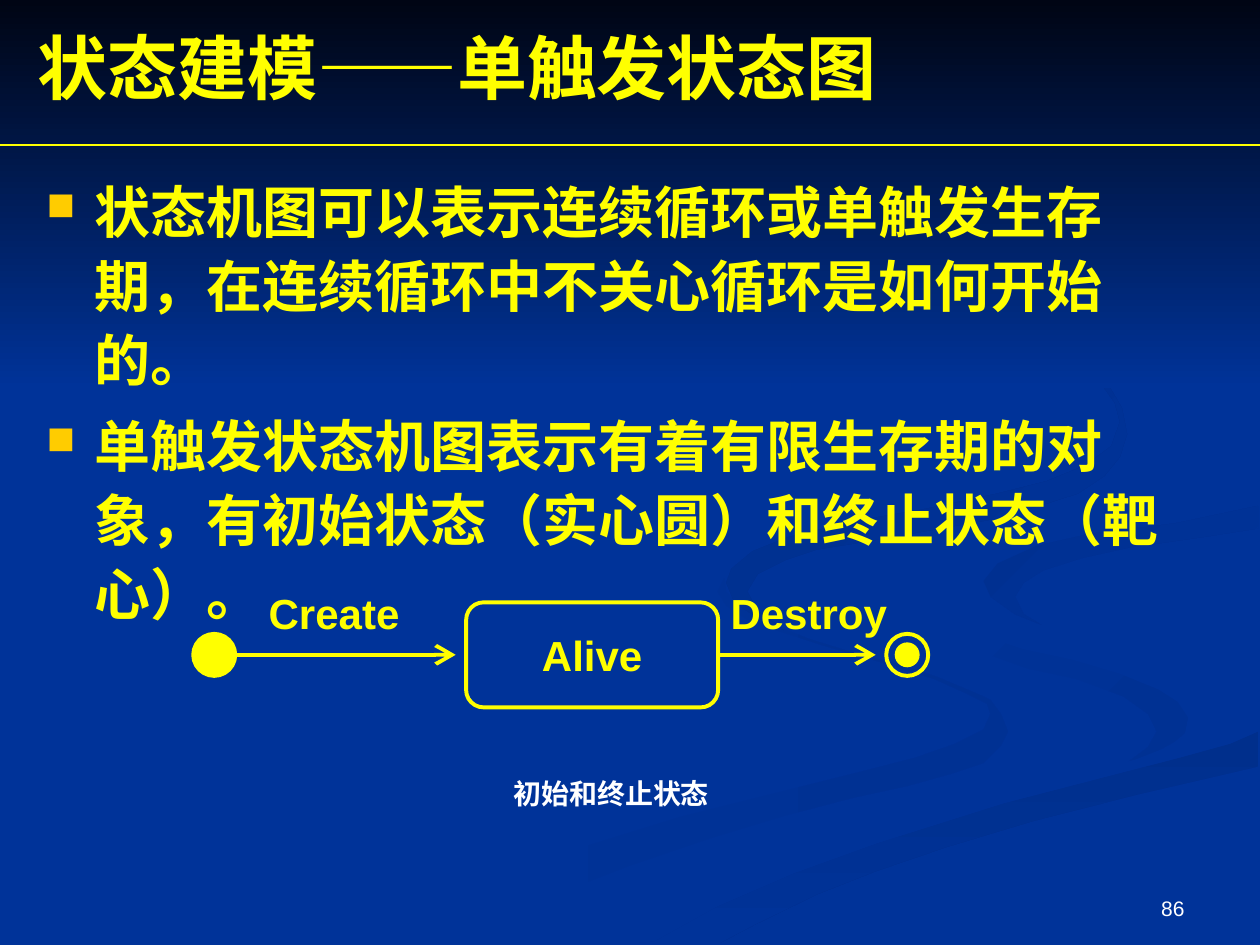
from lxml import etree
from pptx import Presentation
from pptx import util as u
from pptx.dml.color import RGBColor
from pptx.enum import shapes, text
from pptx.oxml.ns import qn

Pt = u.Pt
COLORS = {"blue": "003399", "yellow": "FFFF00", "amber": "FFCC00", "white": "FFFFFF",
          "night": "000514", "dusk": "003193", "shade": "002F8C", "deep": "003091"}
SERIF, SANS = "Times New Roman", "Arial"

# Content
TITLE = [("状态建模", SERIF), ("——", SANS), ("单触发状态图", SERIF)]
POINTS = ["状态机图可以表示连续循环或单触发生存期，在连续循环中不关心循环是如何开始的。",
          "单触发状态机图表示有着有限生存期的对象，有初始状态（实心圆）和终止状态（靶心）。"]
STATE = "Alive"
CAPTION = "初始和终止状态"
PAGE = "86"

# Background ribbons: edges shared by neighbours, then outlines
BAND_TOP = [(719, 418), (703, 425), (674, 433), (624, 446), (574, 459), (501, 482),
            (454, 499), (410, 518), (374, 538), (362, 539)]
CURL_EDGE = [(562, 332), (570, 322), (592, 312), (623, 305), (672, 299), (719, 289)]
FOLD_EDGE = [(522, 334), (526, 345), (536, 353), (557, 362), (585, 371), (613, 377),
             (640, 385), (662, 394), (673, 401), (679, 410)]

LOWER_LOOP = [
    (562, 398), (536, 387), (515, 380), (491, 374), (462, 365), (442, 357), (428, 349),
    (420, 343), (415, 338), (414, 330), (410, 338), (415, 346), (427, 354), (440, 359),
    (471, 369), (502, 378), (534, 388), (554, 397), (564, 402), (566, 408), (562, 417),
    (546, 425), (523, 433), (492, 441), (444, 453), (388, 467), (330, 485), (271, 509),
    (216, 539), (260, 539), (310, 514), (359, 495), (406, 479), (449, 466), (487, 456),
    (519, 449), (544, 442), (562, 436), (572, 426), (576, 418), (572, 408), (566, 400)]
FOLD = FOLD_EDGE[::-1] + [
    (523, 345), (532, 356), (544, 364), (562, 373), (587, 382), (615, 388), (642, 398),
    (656, 408), (661, 418), (656, 427), (644, 436), (660, 430), (671, 424), (678, 418)]
BAND = BAND_TOP + [
    (411, 539), (432, 528), (467, 511), (500, 498), (541, 484), (591, 469), (650, 454),
    (719, 438)]
RIVER = FOLD_EDGE + [
    (677, 420), (667, 427), (649, 434), (626, 440), (585, 450), (535, 463), (477, 481),
    (413, 506), (343, 539)] + BAND_TOP[::-1] + [
    (719, 387), (690, 382), (651, 374), (611, 362), (588, 354), (572, 346)] + CURL_EDGE + [
    (719, 279), (678, 287), (629, 294), (582, 300), (554, 307), (534, 316), (523, 327)]
CURL = CURL_EDGE + [
    (719, 302), (687, 307), (645, 313), (618, 319), (596, 326), (585, 333), (580, 341),
    (585, 351), (595, 357), (580, 351), (566, 341)]
UPPER_LOOP = [
    (492, 310), (532, 303), (566, 297), (594, 289), (616, 282), (631, 272), (640, 261),
    (644, 248), (641, 233), (634, 221), (622, 210), (607, 198), (583, 184), (562, 174),
    (549, 168), (580, 183), (609, 201), (626, 215), (637, 230), (640, 241), (635, 255),
    (620, 266), (598, 275), (570, 282), (528, 291), (487, 298), (450, 307), (430, 315),
    (418, 325), (415, 333), (420, 345), (435, 354), (448, 360), (433, 349), (427, 338),
    (433, 328), (449, 320), (467, 314)]
SKY = [(0, 0), (0, 222), (720, 222), (720, 0)]

# outline, first colour, last colour, clockwise angle
RIBBONS = [(LOWER_LOOP, "blue", "dusk", 0), (FOLD, "blue", "dusk", 45),
           (BAND, "shade", "blue", 90), (RIVER, "blue", "blue", 0),
           (CURL, "deep", "blue", 45), (UPPER_LOOP, "shade", "blue", 45),
           (SKY, "night", "blue", 90)]

deck = Presentation()
deck.slide_width, deck.slide_height = Pt(720), Pt(540)
slide = deck.slides.add_slide(deck.slide_layouts[6])


def rgb(name):
    return RGBColor.from_string(COLORS[name])


def apply(target, values):
    for name, value in values.items():
        setattr(target, name, value)


def add_run(paragraph, words, size, color="yellow", font=SERIF, bold=True):
    run = paragraph.add_run()
    run.text = words
    apply(run.font, {"size": Pt(size), "name": font, "bold": bold})
    run.font.color.rgb = rgb(color)


def add_box(left, top, width, height, **frame_format):
    frame = slide.shapes.add_textbox(Pt(left), Pt(top), Pt(width), Pt(height)).text_frame
    apply(frame, {"word_wrap": True, **frame_format})
    return frame


def add_ribbon(outline, first, last, angle):
    builder = slide.shapes.build_freeform(*outline[0], scale=Pt(1))
    builder.add_line_segments(outline[1:], close=True)
    ribbon = builder.convert_to_shape()
    ribbon.shadow.inherit = False
    ribbon.line.fill.background()
    if first == last:
        ribbon.fill.solid()
        ribbon.fill.fore_color.rgb = rgb(first)
        return
    ribbon.fill.gradient()
    ribbon.fill.gradient_angle = -angle % 360
    for stop, color in zip(ribbon.fill.gradient_stops, (first, last)):
        stop.color.rgb = rgb(color)


def add_node(kind, left, top, width, height, filled=False):
    node = slide.shapes.add_shape(kind, Pt(left), Pt(top), Pt(width), Pt(height))
    node.shadow.inherit = False
    node.line.color.rgb = rgb("yellow")
    node.line.width = Pt(2.25)
    if filled:
        node.fill.solid()
        node.fill.fore_color.rgb = rgb("yellow")
    else:
        node.fill.background()
    return node


def add_line(x1, x2, y, width, arrow=False):
    line = slide.shapes.add_connector(shapes.MSO_CONNECTOR.STRAIGHT,
                                      Pt(x1), Pt(y), Pt(x2), Pt(y))
    line.line.color.rgb = rgb("yellow")
    line.line.width = Pt(width)
    if arrow:
        etree.SubElement(line.line._get_or_add_ln(), qn("a:tailEnd"),
                         type="arrow", w="lg", len="lg")
    etree.SubElement(line._element.spPr, qn("a:effectLst"))
    return line


# Background
slide.background.fill.solid()
slide.background.fill.fore_color.rgb = rgb("blue")
for ribbon_parts in RIBBONS:
    add_ribbon(*ribbon_parts)

# Page number
page = add_box(516.2, 492.3, 167.8, 37.4, vertical_anchor=text.MSO_ANCHOR.BOTTOM)
page.paragraphs[0].alignment = text.PP_ALIGN.RIGHT
add_run(page.paragraphs[0], PAGE, 12, "white", SANS, bold=False)

# Bulleted points, with punctuation kept inside the margin
points = add_box(19.4, 94.3, 674.6, 209.5)
for index, words in enumerate(POINTS):
    point = points.add_paragraph() if index else points.paragraphs[0]
    point.line_spacing = 1.1
    if index:
        point.space_before = Pt(7)
    props = point._p.get_or_add_pPr()
    for name, value in {"marL": Pt(27.4), "indent": -Pt(27.4), "hangingPunct": 0}.items():
        props.set(name, str(value))
    bullet_color = etree.SubElement(props, qn("a:buClr"))
    etree.SubElement(bullet_color, qn("a:srgbClr"), val=COLORS["amber"])
    etree.SubElement(props, qn("a:buSzPct"), val="70000")
    etree.SubElement(props, qn("a:buFont"), typeface="Wingdings", charset="2")
    etree.SubElement(props, qn("a:buChar"), char="n")  # a square in this font
    add_run(point, words, 32)

# Title and rule
title = add_box(14.4, 10.1, 648, 55.4, vertical_anchor=text.MSO_ANCHOR.MIDDLE)
for words, font in TITLE:
    add_run(title.paragraphs[0], words, 40, font=font)
add_line(0, 720, 82.8, 0.75)

# State diagram, centred on one axis
AXIS, RADIUS, CORE = 374.2, 12, 6
START_X, END_X = 122.4, 518.4
STATE_LEFT, STATE_WIDTH, STATE_HEIGHT = 266.4, 144, 60
STATE_RIGHT = STATE_LEFT + STATE_WIDTH

alive = add_node(shapes.MSO_SHAPE.ROUNDED_RECTANGLE, STATE_LEFT, AXIS - STATE_HEIGHT / 2,
                 STATE_WIDTH, STATE_HEIGHT)
apply(alive.text_frame, {"word_wrap": False, "vertical_anchor": text.MSO_ANCHOR.MIDDLE})
alive.text_frame.paragraphs[0].alignment = text.PP_ALIGN.CENTER
add_run(alive.text_frame.paragraphs[0], STATE, 24, font=SANS)

for center, radius, filled in [(START_X, RADIUS, True), (END_X, CORE, True),
                               (END_X, RADIUS, False)]:
    add_node(shapes.MSO_SHAPE.OVAL, center - radius, AXIS - radius,
             2 * radius, 2 * radius, filled)

add_line(START_X + RADIUS, STATE_LEFT - 6, AXIS, 2.25, arrow=True)
destroy = add_line(STATE_RIGHT, END_X - RADIUS - 6, AXIS, 2.25, arrow=True)
destroy.begin_connect(alive, 3)

# Diagram labels
for words, left, top, width, height, size, color, font in [
        ("Create", 146.4, 332.2, 90, 36, 24, "yellow", SANS),
        ("Destroy", STATE_RIGHT, 332.2, 114, 36, 24, "yellow", SANS),
        (CAPTION, 286.4, 440, 147.6, 26.6, 16, "white", SERIF)]:
    label = add_box(left, top, width, height)
    add_run(label.paragraphs[0], words, size, color, font)

deck.save("out.pptx")
